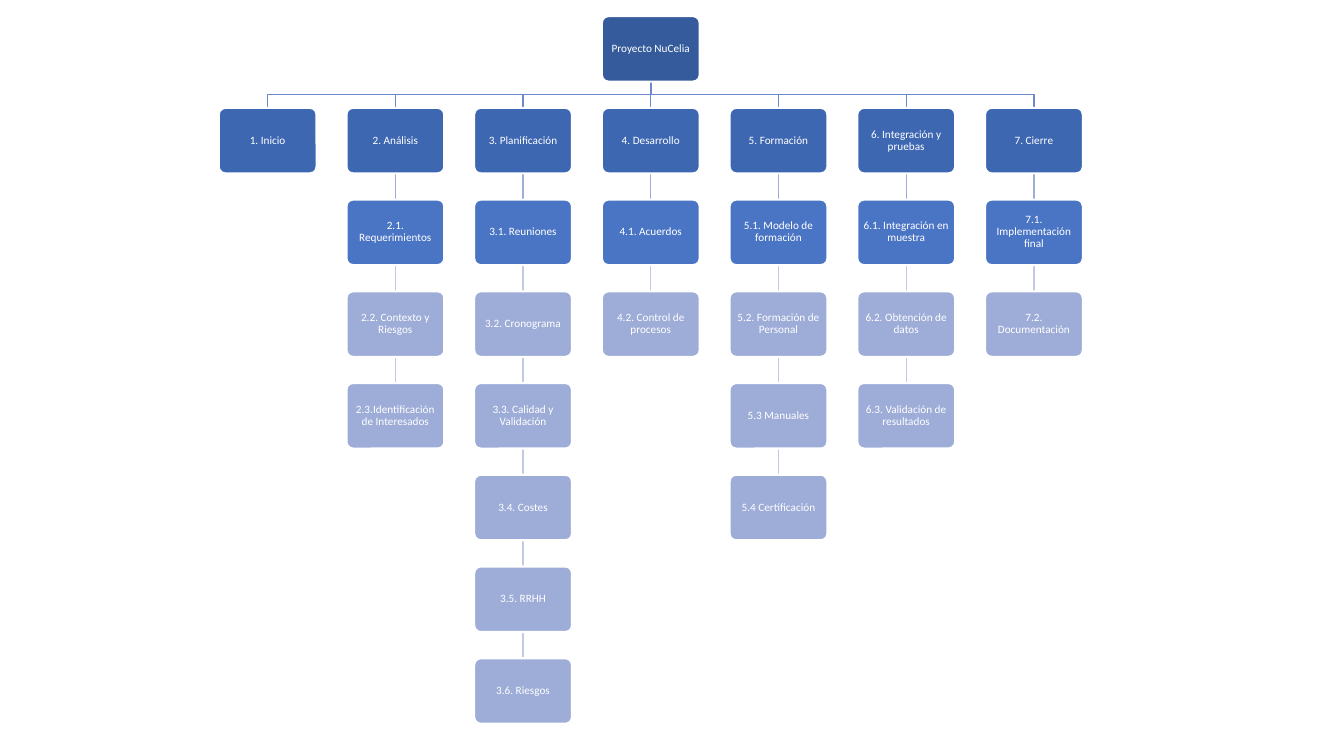
"""Build a slide with the work breakdown structure of a project."""
import pptx
import pptx.dml.color
import pptx.enum.shapes
import pptx.enum.text
import pptx.util
from lxml import etree

Inches = pptx.util.Inches

PROJECT = "Proyecto NuCelia"
PHASES = [
    ("1. Inicio", []),
    ("2. Análisis", ["2.1. Requerimientos", "2.2. Contexto y Riesgos",
                     "2.3.Identificación de Interesados"]),
    ("3. Planificación", ["3.1. Reuniones", "3.2. Cronograma",
                          "3.3. Calidad y Validación", "3.4. Costes",
                          "3.5. RRHH", "3.6. Riesgos"]),
    ("4. Desarrollo", ["4.1. Acuerdos", "4.2. Control de procesos"]),
    ("5. Formación", ["5.1. Modelo de formación", "5.2. Formación de Personal",
                      "5.3 Manuales", "5.4 Certificación"]),
    ("6. Integración y pruebas", ["6.1. Integración en muestra",
                                  "6.2. Obtención de datos",
                                  "6.3. Validación de resultados"]),
    ("7. Cierre", ["7.1. Implementación final", "7.2. Documentación"]),
]
BOX_FILLS = ["365B9D", "3E67B2", "4A75C5", "9EADD8"]
LINK_COLORS = ["6D89CB", "9EADD8", "C1C9E4"]
WHITE = "FFFFFF"

BOX_WIDTH, BOX_HEIGHT = 0.97, 0.65
FIRST_LEFT, LAST_LEFT = 2.17, 9.77
COLUMN_STEP = (LAST_LEFT - FIRST_LEFT) / (len(PHASES) - 1)
TOP, ROW_STEP = 0.16, 0.91
PROJECT_COLUMN = (len(PHASES) - 1) / 2


def rgb(color):
    return pptx.dml.color.RGBColor.from_string(color)


def box_left(column):
    return FIRST_LEFT + column * COLUMN_STEP


def box_top(row):
    return TOP + row * ROW_STEP


def style_line(line, color, width):
    line.color.rgb = rgb(color)
    line.width = pptx.util.Pt(width)


def write(frame, text, size=8, color=WHITE, font="Calibri", inset=0.03):
    frame.word_wrap = True
    frame.vertical_anchor = pptx.enum.text.MSO_ANCHOR.MIDDLE
    frame.margin_left = frame.margin_right = Inches(inset)
    frame.margin_top = frame.margin_bottom = Inches(inset)
    paragraph = frame.paragraphs[0]
    paragraph.alignment = pptx.enum.text.PP_ALIGN.CENTER
    paragraph.line_spacing = 0.9
    paragraph.space_after = pptx.util.Pt(0.35 * size)
    run = paragraph.add_run()
    run.text = text
    run.font.size = pptx.util.Pt(size)
    run.font.name = font
    run.font.color.rgb = rgb(color)


def add_box(text, column, row):
    box = slide.shapes.add_shape(
        pptx.enum.shapes.MSO_SHAPE.ROUNDED_RECTANGLE,
        Inches(box_left(column)), Inches(box_top(row)),
        Inches(BOX_WIDTH), Inches(BOX_HEIGHT))
    box.adjustments[0] = 0.1
    box.shadow.inherit = False
    box.fill.solid()
    box.fill.fore_color.rgb = rgb(BOX_FILLS[min(row, len(BOX_FILLS) - 1)])
    style_line(box.line, WHITE, 1.5)
    write(box.text_frame, text)


def add_link(from_column, to_column, to_row):
    start_x, end_x = (Inches(box_left(column) + BOX_WIDTH / 2)
                      for column in (from_column, to_column))
    start_y = Inches(box_top(to_row - 1) + BOX_HEIGHT)
    end_y = Inches(box_top(to_row))
    if from_column == to_column:
        link = slide.shapes.add_connector(
            pptx.enum.shapes.MSO_CONNECTOR.STRAIGHT,
            start_x, start_y, end_x, end_y)
        etree.SubElement(link._element.spPr, pptx.oxml.ns.qn("a:effectLst"))
    else:
        middle_y = (start_y + end_y) // 2
        outline = slide.shapes.build_freeform(start_x, start_y)
        outline.add_line_segments(
            [(start_x, middle_y), (end_x, middle_y), (end_x, end_y)],
            close=False)
        link = outline.convert_to_shape()
        link.fill.background()
        link.shadow.inherit = False
    style_line(link.line, LINK_COLORS[min(to_row, len(LINK_COLORS)) - 1], 1)


presentation = pptx.Presentation()
presentation.slide_width = Inches(13.33)
presentation.slide_height = Inches(7.5)
slide = presentation.slides.add_slide(presentation.slide_layouts[6])

for column, (phase, tasks) in enumerate(PHASES):
    add_link(PROJECT_COLUMN, column, 1)
    for row in range(2, len(tasks) + 2):
        add_link(column, column, row)

add_box(PROJECT, PROJECT_COLUMN, 0)
for column, (phase, tasks) in enumerate(PHASES):
    for row, text in enumerate([phase, *tasks], start=1):
        add_box(text, column, row)

presentation.save("out.pptx")
